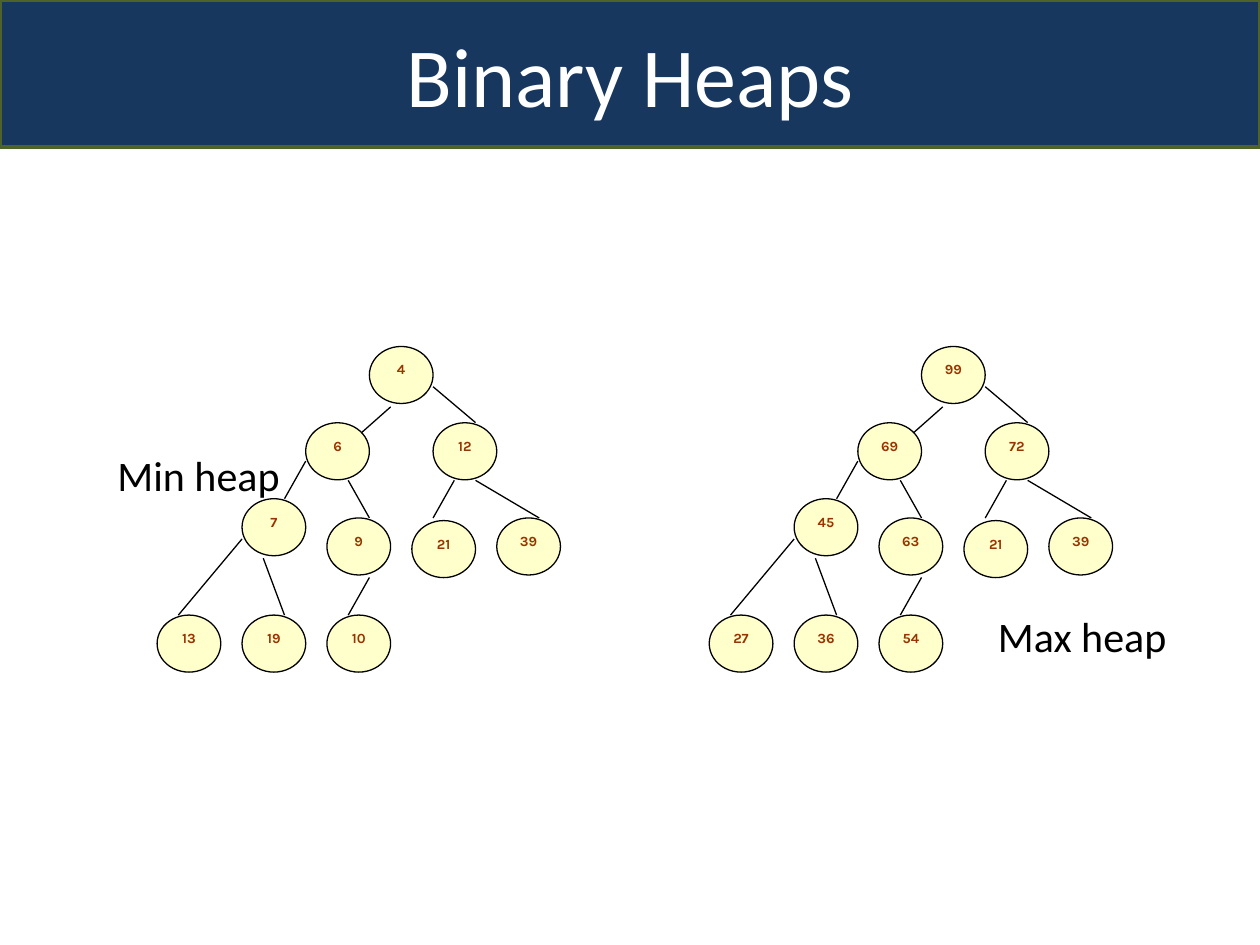
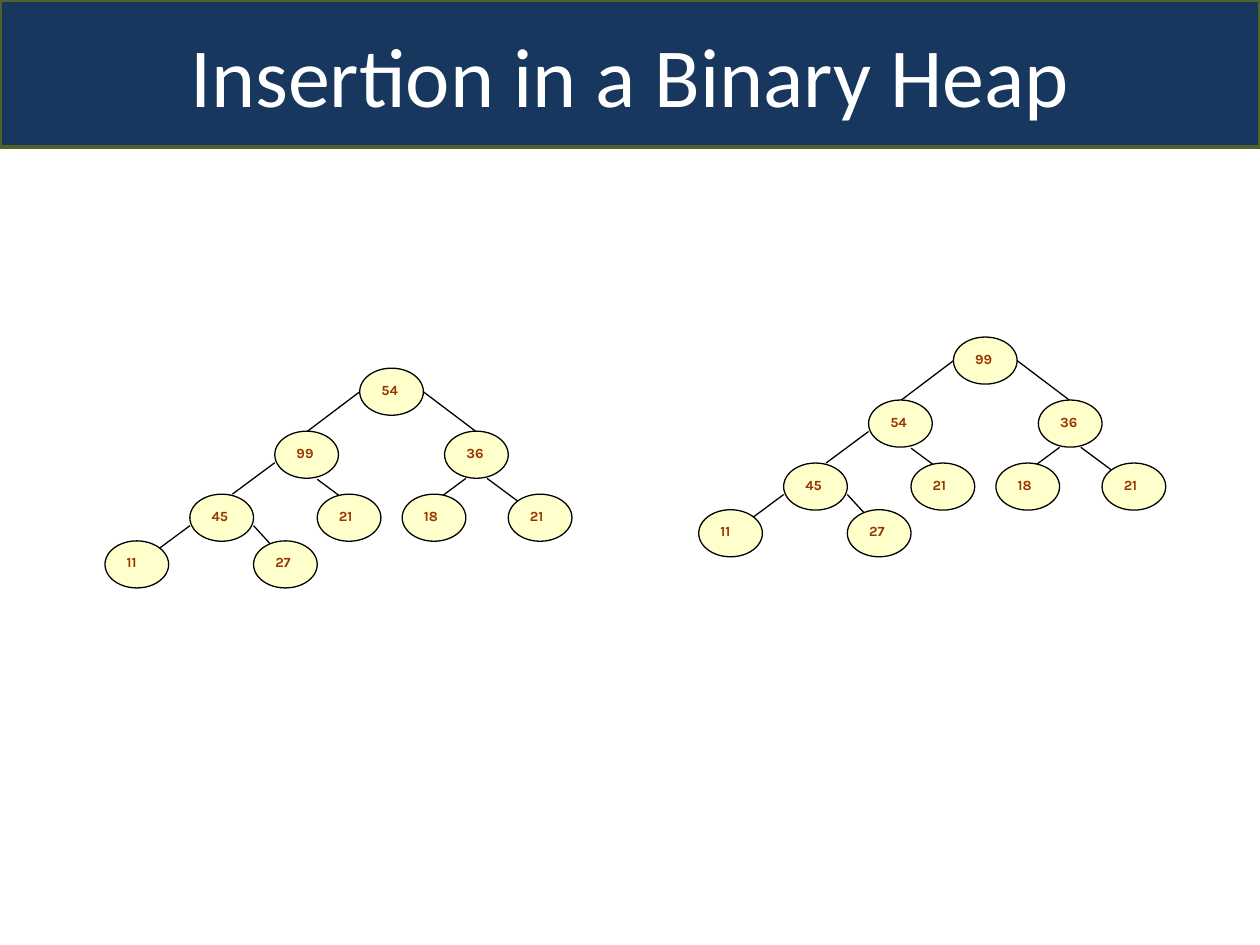
from lxml.etree import SubElement
from pptx import Presentation
from pptx.dml.color import RGBColor
from pptx.enum.shapes import MSO_CONNECTOR as Connector, MSO_SHAPE as Shape
from pptx.enum.text import MSO_ANCHOR as Anchor, PP_ALIGN as Align
from pptx.oxml.ns import qn
from pptx.util import Pt

COLORS = {name: RGBColor.from_string(value) for name, value in {
    "band": "17375E", "band line": "4F6228", "title": "FFFFFF",
    "node": "FFFFCC", "ink": "000000", "number": "993300",
}.items()}
STEP = 12.13  # horizontal grid of every tree
NODE_WIDTH = 3 * STEP


def style_text(frame, text, font_name, size, color, align, bold=False):
    frame.text = text
    para = frame.paragraphs[0]
    para.alignment = align
    para.font.name = font_name
    para.font.size = Pt(size)
    para.font.bold = bold
    para.font.color.rgb = COLORS[color]


def draw_tree(page, left, top, numbers, layout):
    group = page.shapes.add_group_shape()

    # Edges lie behind the nodes
    for start_column, start_y, end_column, end_y in layout["edges"]:
        edge = group.shapes.add_connector(
            Connector.STRAIGHT,
            Pt(left + start_column * STEP), Pt(top + start_y),
            Pt(left + end_column * STEP), Pt(top + end_y))
        edge.line.color.rgb = COLORS["ink"]
        edge.line.width = Pt(0.75)
        SubElement(edge._element.spPr, qn("a:effectLst"))

    # Nodes in level order
    for number, (column, y) in zip(numbers, layout["nodes"]):
        node = group.shapes.add_shape(
            Shape.OVAL, Pt(left + column * STEP), Pt(top + y),
            Pt(NODE_WIDTH), Pt(layout["node height"]))
        node.shadow.inherit = False
        node.fill.solid()
        node.fill.fore_color.rgb = COLORS["node"]
        node.line.color.rgb = COLORS["ink"]
        node.line.width = Pt(0.75)
        node.text_frame.vertical_anchor = Anchor.TOP
        style_text(node.text_frame, str(number), "Karla", 8, "number",
                   layout["align"], bold=True)


# Node places are (column, y); edges are (column, y, column, y)
HEAP = {
    "node height": 32.6,
    "align": Align.CENTER,
    "nodes": [(10, 0), (7, 43.6), (13, 43.6),
              (4, 87), (8, 98), (12, 99.5), (16, 98),
              (0, 153.5), (4, 153.5), (8, 153.5)],
    "edges": [(11, 34.5, 9, 56), (13, 23, 15, 43.5),
              (7, 65.5, 6, 87), (9, 76.5, 10, 98),
              (14, 76.5, 13, 98), (15, 76.5, 18, 98),
              (4, 110, 1, 153.5), (5, 121, 6, 153.5), (10, 132, 9, 153.5)],
}
INSERTION = {
    "node height": 26.9,
    "align": Align.LEFT,
    "nodes": [(12, 0), (8, 36), (16, 36),
              (4, 72), (10, 72), (14, 72), (19, 72),
              (0, 98.7), (7, 98.7)],
    "edges": [(12, 13.5, 9, 41), (15, 13.5, 18, 41),
              (8, 54, 6, 72), (10, 63.5, 12, 81.5),
              (17, 63, 15, 81), (18, 63, 20, 81),
              (4, 90, 2, 108), (7, 90, 9, 116.5)],
}

# Each tree is left, top, numbers; each label is text, left, top, width, right margin
SLIDES = [
    {"title": "Binary Heaps", "layout": HEAP,
     "trees": [(89.8, 198, [4, 6, 12, 7, 9, 21, 39, 13, 19, 10]),
               (405.3, 198, [99, 69, 72, 45, 63, 21, 39, 27, 36, 54])],
     "labels": [("Min heap", 59.8, 238.3, 108, 8),
                ("Max heap", 563, 330.5, 139, 35.5)]},
    {"title": "Insertion in a Binary Heap", "layout": INSERTION,
     "trees": [(60, 210.4, [54, 99, 36, 45, 21, 18, 21, 11, 27]),
               (399.3, 192.6, [99, 54, 36, 45, 21, 18, 21, 11, 27])],
     "labels": []},
]

deck = Presentation()
deck.slide_width, deck.slide_height = Pt(720), Pt(540)
title_only = deck.slide_layouts[5]

for content in SLIDES:
    page = deck.slides.add_slide(title_only)

    # Title band
    title = page.shapes.title
    title.left, title.top, title.width, title.height = Pt(0), Pt(0), Pt(720), Pt(84)
    title.fill.solid()
    title.fill.fore_color.rgb = COLORS["band"]
    title.line.color.rgb = COLORS["band line"]
    title.line.width = Pt(2)
    title.text_frame.vertical_anchor = Anchor.MIDDLE
    style_text(title.text_frame, content["title"], "Calibri", 48, "title", Align.CENTER)

    # Trees
    for left, top, numbers in content["trees"]:
        draw_tree(page, left, top, numbers, content["layout"])

    # Tree labels
    for text, left, top, width, right_margin in content["labels"]:
        box = page.shapes.add_textbox(Pt(left), Pt(top), Pt(width), Pt(65.5))
        frame = box.text_frame
        frame.word_wrap = True
        frame.vertical_anchor = Anchor.MIDDLE
        frame.margin_left = Pt(0)
        frame.margin_right = Pt(right_margin)
        style_text(frame, text, "Calibri", 24, "ink", Align.RIGHT)

deck.save("out.pptx")
